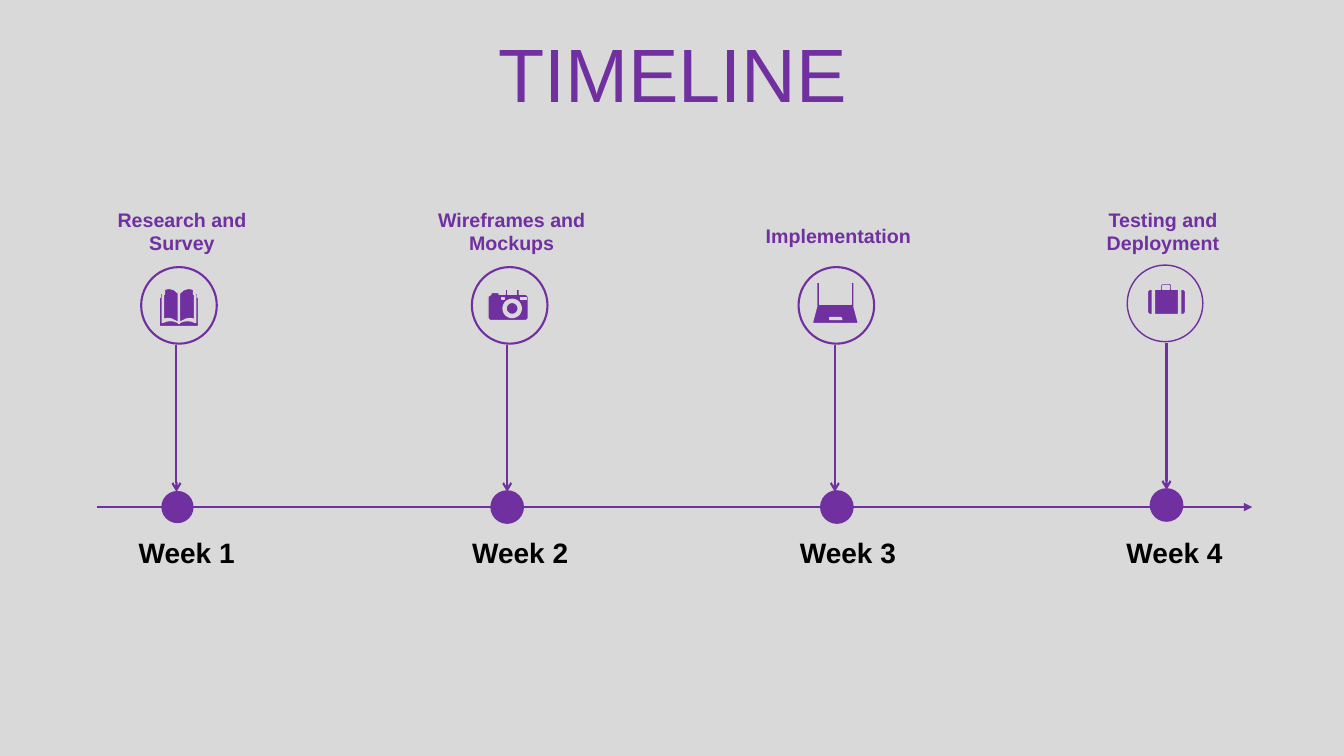
from math import cos, pi, sin

from lxml.etree import SubElement
from pptx import Presentation
from pptx.dml.color import RGBColor
from pptx.enum.shapes import MSO_CONNECTOR as Link, MSO_SHAPE as Kind
from pptx.enum.text import MSO_ANCHOR as Anchor, MSO_AUTO_SIZE as Fit, PP_ALIGN as Align
from pptx.oxml.ns import qn
from pptx.util import Inches, Pt

PURPLE = RGBColor(0x70, 0x30, 0xA0)
GRAY = RGBColor(0xD9, 0xD9, 0xD9)
BLACK = RGBColor(0, 0, 0)


def write(frame, text, size, color, bold=False, fit=Fit.SHAPE_TO_FIT_TEXT, gap=0, line=1.0):
    frame.word_wrap = True
    frame.auto_size = fit
    frame.vertical_anchor = Anchor.MIDDLE
    para = frame.paragraphs[0]
    para.alignment = Align.CENTER
    para.space_before = Pt(gap)
    para.line_spacing = line
    run = para.add_run()
    run.text = text
    run.font.name = "Arial"
    run.font.size = Pt(size)
    run.font.bold = bold
    run.font.color.rgb = color


def box(left, top, right, bottom):
    return [(left, top), (right, top), (right, bottom), (left, bottom)]


deck = Presentation()
deck.slide_width = Inches(13.33)
deck.slide_height = Inches(7.5)
slide = deck.slides.add_slide(deck.slide_layouts[5])
slide.background.fill.solid()
slide.background.fill.fore_color.rgb = GRAY
shapes = slide.shapes

title = shapes.title
title.left, title.top = Inches(0.34), Inches(0.38)
title.width, title.height = Inches(12.66), Inches(0.79)
write(title.text_frame, "TIMELINE", 54, PURPLE, fit=Fit.NONE, gap=10, line=0.9)

steps = [
    ("Research and Survey", "Week 1 ", 0.95, 1.4, 1.75, 1.24),
    ("Wireframes and Mockups", "Week 2", 4.22, 4.68, 5.03, 4.51),
    ("Implementation", "Week 3", 7.46, 7.92, 8.28, 7.76),
    ("Testing and Deployment", "Week 4", 10.68, 11.18, 11.57, 11.0),
]
lines = [(0.96, 5.03, 12.42, 5.03, 1, "triangle")]
ovals = []
texts = []
for i, (label, week, label_x, ring_x, stem_x, week_x) in enumerate(steps):
    lift = 0.02 if i == 3 else 0
    lines.append((stem_x, 3.42 - lift, stem_x, 4.88 - lift, 1.5, "arrow"))
    ovals.append((1.6 + 3.27 * i, 4.87 - lift, 0.32, 0.32, True, 1 if i else 0))
    ovals.append((ring_x, 2.65 - lift, 0.75, 0.76, False, 1 if lift else 1.5))
    top, height = (2.01, 0.57) if " " in label else (2.17, 0.34)
    texts.append((label, label_x, top, 1.71, height, 14, PURPLE))
    texts.append((week, week_x, 5.26, 1.3, 0.44, 20, BLACK))

for x1, y1, x2, y2, width, head in lines:
    line = shapes.add_connector(Link.STRAIGHT, Inches(x1), Inches(y1), Inches(x2), Inches(y2))
    line.line.color.rgb = PURPLE
    line.line.width = Pt(width)
    SubElement(line.line._get_or_add_ln(), qn("a:tailEnd"), type=head)
    SubElement(line._element.spPr, qn("a:effectLst"))

for left, top, width, height, solid, edge in ovals:
    oval = shapes.add_shape(Kind.OVAL, Inches(left), Inches(top), Inches(width), Inches(height))
    oval.shadow.inherit = False
    if solid:
        oval.fill.solid()
        oval.fill.fore_color.rgb = PURPLE
    else:
        oval.fill.background()
    if edge:
        oval.line.color.rgb = PURPLE
        oval.line.width = Pt(edge)
    else:
        oval.line.fill.background()

for text, left, top, width, height, size, color in texts:
    area = shapes.add_textbox(Inches(left), Inches(top), Inches(width), Inches(height))
    write(area.text_frame, text, size, color, bold=True)

page = [
    (178, 321), (178, 320), (182, 318.5), (186, 318), (190, 318.5), (194, 320),
    (194, 293), (193, 293), (193, 317), (189, 316), (185, 316.5), (178, 320),
    (178, 291), (182, 287.5), (187, 286), (192, 287), (192, 292), (196, 291),
    (196, 295), (197, 295), (197, 324),
]
book = [page + [(355 - x, y) for x, y in reversed(page)]]

turns = [2 * pi * k / 32 for k in range(32)]
camera = [[(508 + r * cos(t), 306 + r * sin(t)) for t in turns] for r in (6, 9)]
camera += [box(498, 295, 500, 297), box(516, 295, 522, 297), box(504, 288, 512, 292)]
camera.append([
    (501, 287), (515, 287), (515, 292), (522, 292), (524, 294), (524, 316), (522, 318),
    (486, 318), (484, 316), (484, 294), (487, 292), (487, 290), (495, 290), (495, 292),
    (501, 292),
])

laptop = [
    [(823, 315), (823, 317), (835, 317), (834, 315)],
    box(813, 281, 844, 302),
    [(810, 280), (847, 280), (847, 304), (851, 319), (851, 321), (806, 321), (806, 319), (810, 304)],
]

case = [
    [(1171, 287), (1174, 287), (1176, 289), (1176, 310), (1174, 312), (1171, 312)],
    [(1143, 287), (1140, 287), (1138, 289), (1138, 310), (1140, 312), (1143, 312)],
    [(1154, 283), (1153, 284), (1153, 287), (1160, 287), (1160, 284), (1159, 283)],
    [
        (1153, 281), (1161, 281), (1162, 283), (1162, 287), (1169, 287), (1169, 312),
        (1145, 312), (1145, 287), (1151, 287), (1151, 283),
    ],
]

for icon in (book, camera, laptop, case):
    loops = [[(10 * x, 10 * y) for x, y in loop] for loop in icon]
    pen = shapes.build_freeform(*loops[0][0], scale=Inches(1) / 1000)
    for loop in loops:
        if loop is not loops[0]:
            pen.move_to(*loop[0])
        pen.add_line_segments(loop[1:], close=True)
    glyph = pen.convert_to_shape()
    glyph.shadow.inherit = False
    glyph.fill.solid()
    glyph.fill.fore_color.rgb = PURPLE
    glyph.line.color.rgb = GRAY
    glyph.line.width = Pt(1)

deck.save("out.pptx")
